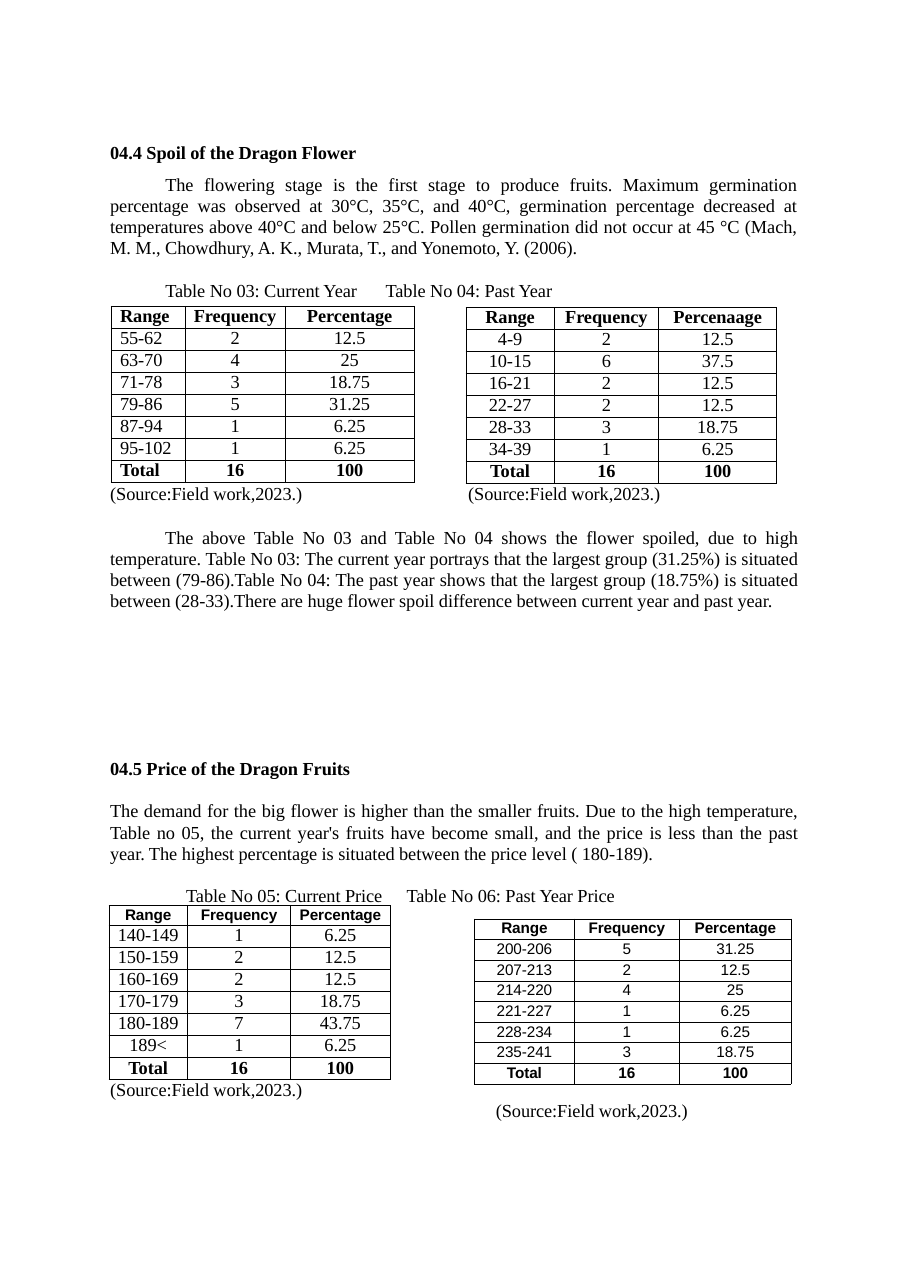
"""Build a report page on spoiled dragon flowers and dragon fruit prices."""
from dataclasses import dataclass

from lxml.etree import SubElement
from pptx import Presentation
from pptx.dml.color import RGBColor
from pptx.enum.text import MSO_AUTO_SIZE as AutoSize, PP_ALIGN as Align
from pptx.oxml.ns import qn
from pptx.util import Inches, Pt


@dataclass(frozen=True)
class Theme:
    ink: RGBColor = RGBColor(0, 0, 0)
    serif: str = "Times New Roman"
    sans: str = "Arial"
    body: float = 12
    small: float = 10
    leading: float = 13.8
    row_leading: float = 13.3
    small_leading: float = 11.3
    tracking: str = "-5"
    border: float = 0.5


THEME = Theme()
SOURCE_NOTE = "(Source:Field work,2023.)"

HEADING = dict(bold=True, margin=0.01)
BODY = dict(align=Align.JUSTIFY, leading=THEME.leading, margin=0.01, right=0.04)

TEXT_BOXES = [
    ((0.99, 1.18, 6.29, 1.56), 0.1, [
        ("04.4 Spoil of the Dragon Flower", HEADING | dict(before=7.2)),
        ("The flowering stage is the first stage to produce fruits. Maximum germination "
         "percentage was observed at 30°C, 35°C, and 40°C, germination percentage decreased at "
         "temperatures above 40°C and below 25°C. Pollen germination did not occur at 45 °C (Mach, "
         "M. M., Chowdhury, A. K., Murata, T., and Yonemoto, Y. (2006).",
         BODY | dict(first=0.5, before=7.2)),
        ("Table No 03: Current Year\tTable No 04: Past Year",
         dict(margin=0.51, tab=3.8, before=13.4)),
    ]),
    ((0.99, 4.75, 6.3, 0.99), 0.03, [
        ("The above Table No 03 and Table No 04 shows the flower spoiled, due to high "
         "temperature. Table No 03: The current year portrays that the largest group (31.25%) is "
         "situated between (79-86).Table No 04: The past year shows that the largest group (18.75%) is "
         "situated between (28-33).There are huge flower spoil difference between current year and "
         "past year.", BODY | dict(first=0.5, before=1.9)),
    ]),
    ((0.99, 6.86, 6.3, 1.38), 0.01, [
        ("04.5 Price of the Dragon Fruits", HEADING | dict(before=1)),
        ("The demand for the big flower is higher than the smaller fruits. Due to the high temperature, "
         "Table no 05, the current year's fruits have become small, and the price is less than the past "
         "year. The highest percentage is situated between the price level ( 180-189).",
         BODY | dict(before=14.1)),
        ("Table No 05: Current Price\tTable No 06: Past Year Price",
         dict(margin=0.7, tab=3.55, before=13)),
    ]),
]
NOTE_PLACES = [(0.99, 4.37), (4.24, 4.37), (0.99, 9.78), (4.49, 9.97)]
TEXT_BOXES += [((left, top, 1.79, 0.23), 0.01, [(SOURCE_NOTE, dict(margin=0.01, before=1))])
               for left, top in NOTE_PLACES]

SERIF_CELL = dict(font=THEME.serif, size=THEME.body, leading=THEME.row_leading)
SANS_CELL = dict(font=THEME.sans, size=THEME.small, leading=THEME.small_leading, before=1)
CENTRED = dict(align=Align.CENTER)
LEFT = dict(align=Align.LEFT, margin=0.08)
HEADERS = ("Range", "Frequency", "Percentage")
TOTAL = ("Total", "16", "100")

TABLES = [
    dict(at=(0.99, 8.22), columns=(0.71, 0.94, 0.9), row=0.2, header_row=0.18,
         header=SANS_CELL, cells=SERIF_CELL, range_style=CENTRED, rows=[
             HEADERS, ("140-149", "1", "6.25"), ("150-159", "2", "12.5"),
             ("160-169", "2", "12.5"), ("170-179", "3", "18.75"),
             ("180-189", "7", "43.75"), ("189<", "1", "6.25"), TOTAL]),
    dict(at=(1.01, 2.78), columns=(0.67, 0.91, 1.17), row=0.2, header_row=0.2,
         header=SERIF_CELL, cells=SERIF_CELL, range_style=LEFT, rows=[
             HEADERS, ("55-62", "2", "12.5"), ("63-70", "4", "25"),
             ("71-78", "3", "18.75"), ("79-86", "5", "31.25"),
             ("87-94", "1", "6.25"), ("95-102", "1", "6.25"), TOTAL]),
    dict(at=(4.23, 2.79), columns=(0.8, 0.95, 1.07), row=0.2, header_row=0.2,
         header=SERIF_CELL, cells=SERIF_CELL, range_style=CENTRED, rows=[
             ("Range", "Frequency", "Percenaage"), ("4-9", "2", "12.5"),
             ("10-15", "6", "37.5"), ("16-21", "2", "12.5"), ("22-27", "2", "12.5"),
             ("28-33", "3", "18.75"), ("34-39", "1", "6.25"), TOTAL]),
    dict(at=(4.31, 8.34), columns=(0.9, 0.96, 1.01), row=1.5 / 8, header_row=1.5 / 8,
         header=SANS_CELL, cells=SANS_CELL, range_style=CENTRED, rows=[
             HEADERS, ("200-206", "5", "31.25"), ("207-213", "2", "12.5"),
             ("214-220", "4", "25"), ("221-227", "1", "6.25"),
             ("228-234", "1", "6.25"), ("235-241", "3", "18.75"), TOTAL]),
]


def write(para, text, font=THEME.serif, size=THEME.body, bold=False, align=Align.LEFT,
          leading=None, before=0, margin=0, right=0, first=0, tab=None):
    para.add_run().text = text
    para.alignment = align
    para.space_before = Pt(before)
    if leading:
        para.line_spacing = Pt(leading)
    para.font.name, para.font.size, para.font.bold = font, Pt(size), bold
    para.font.color.rgb = THEME.ink
    properties = para._p.get_or_add_pPr()
    for name, length in (("marL", margin), ("marR", right), ("indent", first)):
        properties.set(name, str(Inches(length)))
    defaults = properties.find(qn("a:defRPr"))
    defaults.set("spc", THEME.tracking)
    if tab:
        stops = SubElement(properties, qn("a:tabLst"))
        SubElement(stops, qn("a:tab"), pos=str(Inches(tab)), algn="l")
        defaults.addprevious(stops)


def set_margins(target, top):
    target.margin_left = target.margin_right = target.margin_bottom = 0
    target.margin_top = Inches(top)


def add_text(page, place, inset, paragraphs):
    frame = page.shapes.add_textbox(*map(Inches, place)).text_frame
    frame.word_wrap = True
    frame.auto_size = AutoSize.SHAPE_TO_FIT_TEXT
    set_margins(frame, inset)
    for index, (text, style) in enumerate(paragraphs):
        write(frame.add_paragraph() if index else frame.paragraphs[0], text, **style)


def add_borders(cell):
    properties = cell._tc.get_or_add_tcPr()
    for side in ("lnL", "lnR", "lnT", "lnB"):
        line = SubElement(properties, qn(f"a:{side}"), w=str(Pt(THEME.border)))
        fill = SubElement(line, qn("a:solidFill"))
        SubElement(fill, qn("a:srgbClr"), val=str(THEME.ink))


def add_grid(page, at, columns, row, header_row, header, cells, range_style, rows):
    heights = [header_row] + [row] * (len(rows) - 1)
    size = (sum(columns), sum(heights))
    table = page.shapes.add_table(len(rows), len(columns), *map(Inches, at + size)).table
    table.first_row = table.horz_banding = False
    for column, width in zip(table.columns, columns):
        column.width = Inches(width)
    for y, values in enumerate(rows):
        table.rows[y].height = Inches(heights[y])
        style = cells if y else header
        bold = y in (0, len(rows) - 1)
        for x, value in enumerate(values):
            cell = table.cell(y, x)
            set_margins(cell, 0.01 if style is SANS_CELL else 0)
            add_borders(cell)
            cell.fill.background()
            placement = CENTRED if x else range_style
            write(cell.text_frame.paragraphs[0], value, bold=bold, **style, **placement)


def main():
    deck = Presentation()
    deck.slide_width, deck.slide_height = Inches(8.26), Inches(11.69)
    page = deck.slides.add_slide(deck.slide_layouts[6])
    for box in TEXT_BOXES:
        add_text(page, *box)
    for table in TABLES:
        add_grid(page, **table)
    deck.save("out.pptx")


if __name__ == "__main__":
    main()
